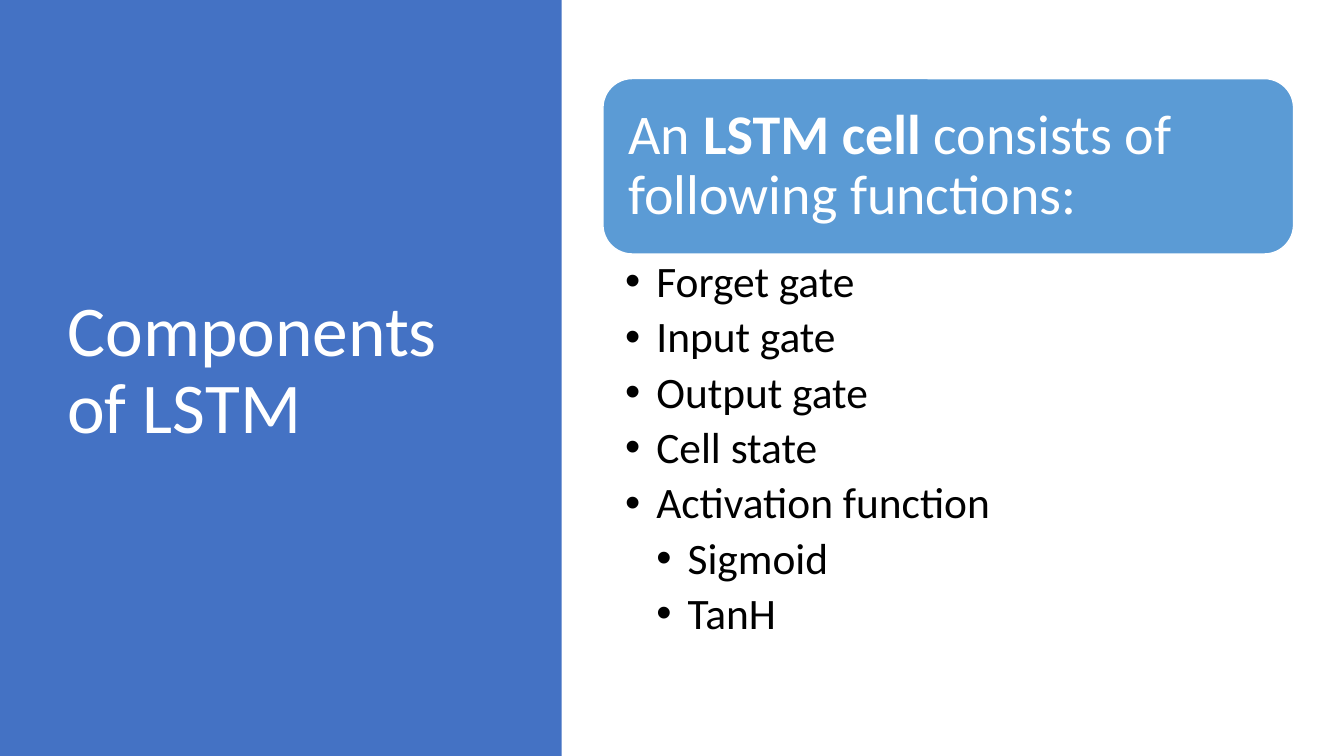
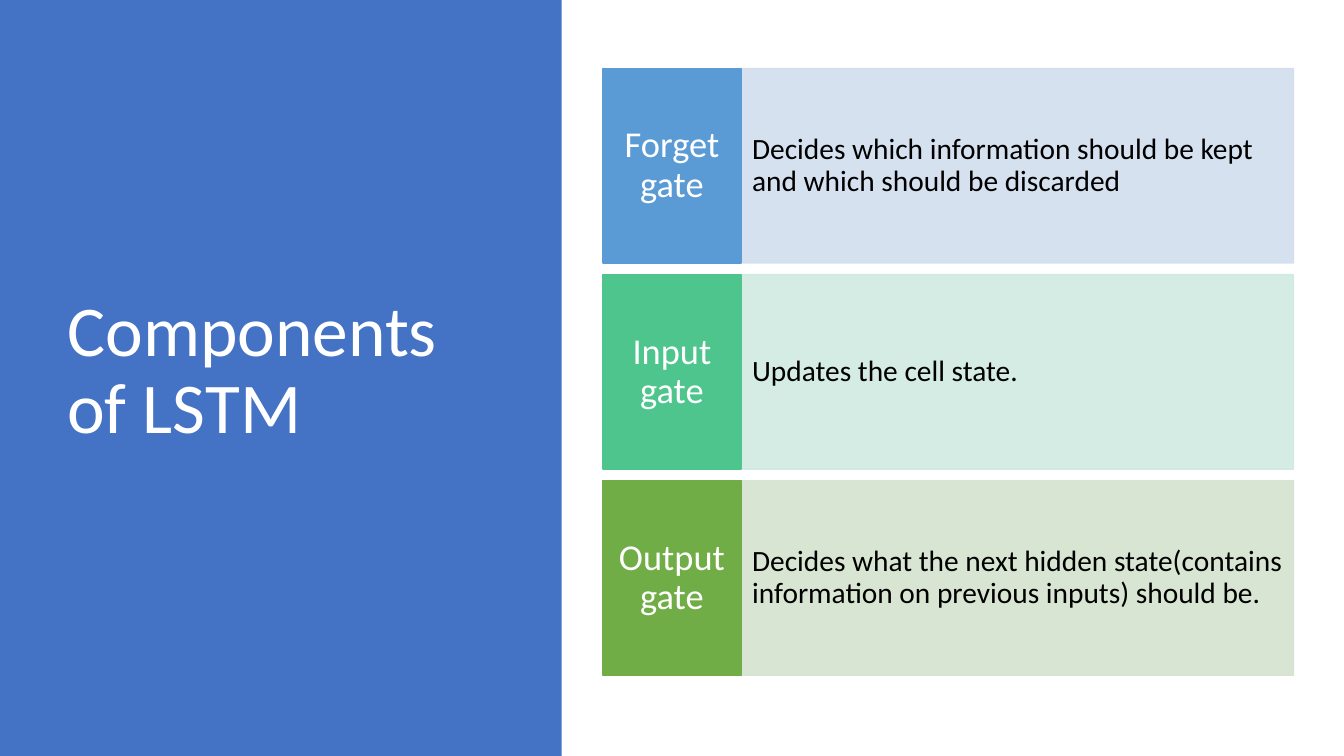
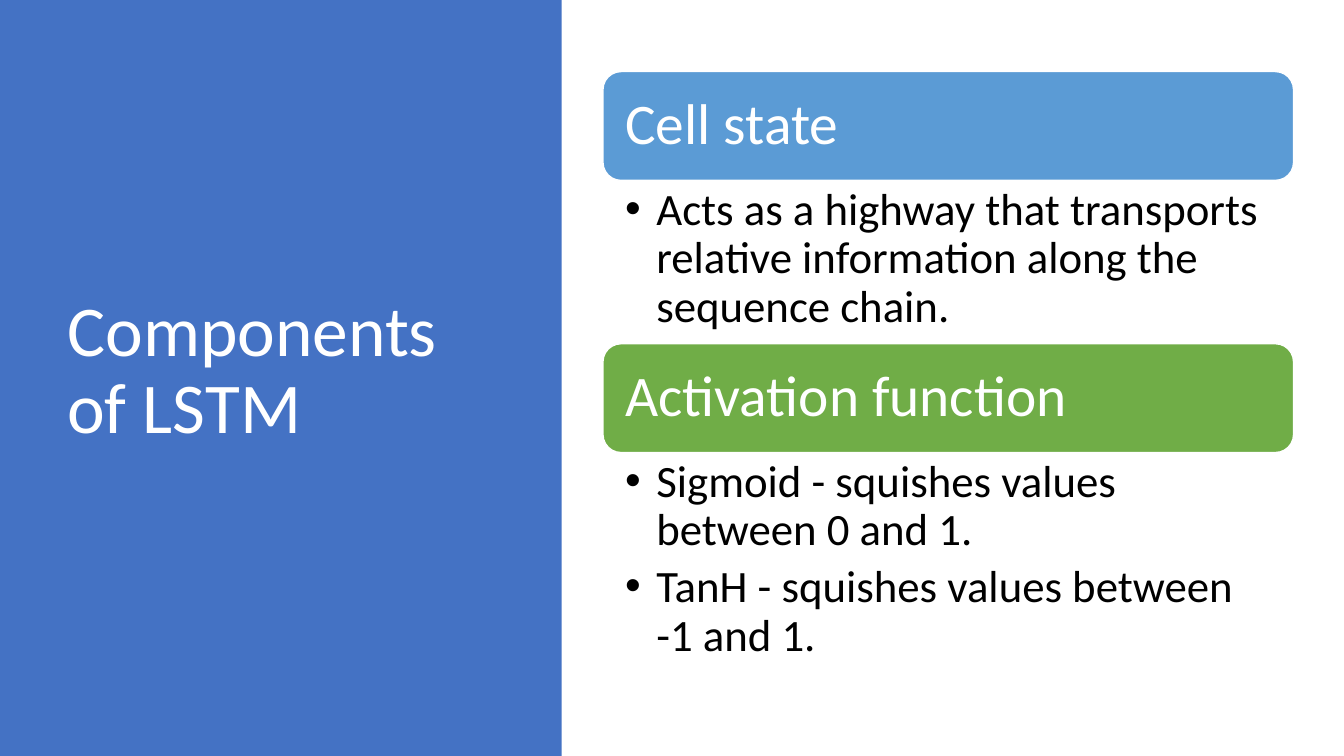
from dataclasses import dataclass

from lxml import etree
from pptx import Presentation
from pptx import util as u
from pptx.dml.color import RGBColor
from pptx.enum import shapes, text
from pptx.oxml import ns


@dataclass(frozen=True)
class Theme:
    font: str = "Calibri"
    panel: str = "4472C4"
    blue: str = "5B9BD5"
    mint: str = "4DC58D"
    green: str = "70AD47"
    pale_blue: str = "D2DEEF"
    pale_mint: str = "D0EAE1"
    pale_green: str = "D5E3CF"
    white: str = "FFFFFF"
    black: str = "000000"
    title: int = 51
    label: int = 26
    detail: int = 21
    left: float = 5.98
    wide: float = 6.85
    top: float = 0.68
    tall: float = 6.02


T = Theme()
BOX = shapes.MSO_SHAPE.RECTANGLE
ROUND = shapes.MSO_SHAPE.ROUNDED_RECTANGLE
MID = text.MSO_ANCHOR.MIDDLE
TOP = text.MSO_ANCHOR.TOP
LEFT = text.PP_ALIGN.LEFT
CENTER = text.PP_ALIGN.CENTER


def apply(obj, **form):
    for key, val in form.items():
        setattr(obj, key, val)


def block(slide, kind, at, fill, line=None, alpha=None):
    """Add a filled shape; alpha is the opacity in percent."""
    shape = slide.shapes.add_shape(kind, *map(u.Inches, at))
    shape.shadow.inherit = False
    shape.fill.solid()
    shape.fill.fore_color.rgb = RGBColor.from_string(fill)
    if line:
        shape.line.color.rgb = RGBColor.from_string(line)
        shape.line.width = u.Pt(1)
    else:
        shape.line.fill.background()
    if alpha:
        for tint in shape._element.spPr.iter(ns.qn("a:srgbClr")):
            etree.SubElement(tint, ns.qn("a:alpha"), val=str(alpha * 1000))
    return shape


def area(slide, at):
    return slide.shapes.add_textbox(*map(u.Inches, at))


def bullet(para, level):
    step = u.Inches(0.31)
    props = para._p.get_or_add_pPr()
    props.set("marL", str(step * level))
    props.set("indent", str(-step))
    etree.SubElement(props, ns.qn("a:buFont"), typeface="Arial")
    etree.SubElement(props, ns.qn("a:buChar"), char="•")


def write(shape, paras, size, color, pad, anchor=MID, align=LEFT, after=0):
    """Fill a shape; each paragraph is a list of (words, bold), pad is l, t, r, b."""
    frame = shape.text_frame
    sides = ("margin_left", "margin_top", "margin_right", "margin_bottom")
    apply(frame, word_wrap=True, vertical_anchor=anchor,
          **dict(zip(sides, map(u.Inches, pad))))
    for i, runs in enumerate(paras):
        para = frame.add_paragraph() if i else frame.paragraphs[0]
        apply(para, alignment=align, line_spacing=0.9, space_after=u.Pt(after))
        for words, bold in runs:
            run = para.add_run()
            run.text = words
            apply(run.font, name=T.font, size=u.Pt(size), bold=bold)
            run.font.color.rgb = RGBColor.from_string(color)
    return frame


def plain(words):
    return [[(words, False)]]


def base(deck):
    """Add a slide with the title panel all slides share."""
    slide = deck.slides.add_slide(deck.slide_layouts[6])
    block(slide, BOX, (0, 0, 5.57, 7.5), T.panel)
    write(area(slide, (0.57, T.top, 4.16, T.tall)), plain("Components of LSTM"),
          T.title, T.white, (0.1, 0.05, 0.1, 0.05))
    return slide


def header(slide, y, high, runs, size, fill):
    bar = block(slide, ROUND, (T.left, y, T.wide, high), fill, T.white)
    write(bar, [runs], size, T.white, (0.17,) * 4)


def points(slide, y, high, items, size):
    """Add a bullet list from (level, words) pairs."""
    frame = write(area(slide, (T.left, y, T.wide, high)),
                  [[(words, False)] for _, words in items],
                  size, T.black, (0.22, 0.06, 0.31, 0.06), TOP, after=6)
    for para, (level, _) in zip(frame.paragraphs, items):
        bullet(para, level)


def stack(slide, y, head, size, parts):
    """Put headers and their lists under one another without gaps."""
    for runs, fill, high, items in parts:
        header(slide, y, head, runs, size + 9, fill)
        points(slide, y + head, high, items, size)
        y += head + high


def rows(slide, parts):
    """Spread labelled bands evenly over the content height."""
    high, side = 1.93, 1.37
    step = (T.tall - high) / (len(parts) - 1)
    for i, (name, words, fill, pale) in enumerate(parts):
        y = T.top + i * step
        band = block(slide, BOX, (T.left + side, y, T.wide - side, high),
                     pale, pale, 90)
        write(band, plain(words), T.detail, T.black, (0.11, 0.49, 0.11, 0.49))
        label = block(slide, BOX, (T.left, y, side, high), fill, fill)
        write(label, plain(name), T.label, T.white, (0.07, 0.19, 0.07, 0.19),
              align=CENTER)


def main():
    deck = Presentation()
    apply(deck, slide_width=u.Inches(13.33), slide_height=u.Inches(7.5))

    stack(base(deck), 0.78, 1.74, 31, [
        ([("An ", False), ("LSTM cell ", True),
          ("consists of following functions:", False)], T.blue, 4.07,
         [(1, "Forget gate"), (1, "Input gate"), (1, "Output gate"),
          (1, "Cell state"), (1, "Activation function"),
          (2, "Sigmoid"), (2, "TanH")]),
    ])

    rows(base(deck), [
        ("Forget gate",
         "Decides which information should be kept and which should be discarded",
         T.blue, T.pale_blue),
        ("Input gate", "Updates the cell state.", T.mint, T.pale_mint),
        ("Output gate",
         "Decides what the next hidden state(contains information on previous "
         "inputs) should be.", T.green, T.pale_green),
    ])

    stack(base(deck), 0.71, 1.08, 32, [
        ([("Cell state", False)], T.blue, 1.62,
         [(1, "Acts as a highway that transports relative information along "
              "the sequence chain.")]),
        ([("Activation function", False)], T.green, 2.18,
         [(1, "Sigmoid - squishes values between 0 and 1."),
          (1, "TanH - squishes values between -1 and 1.")]),
    ])

    deck.save("out.pptx")


if __name__ == "__main__":
    main()
